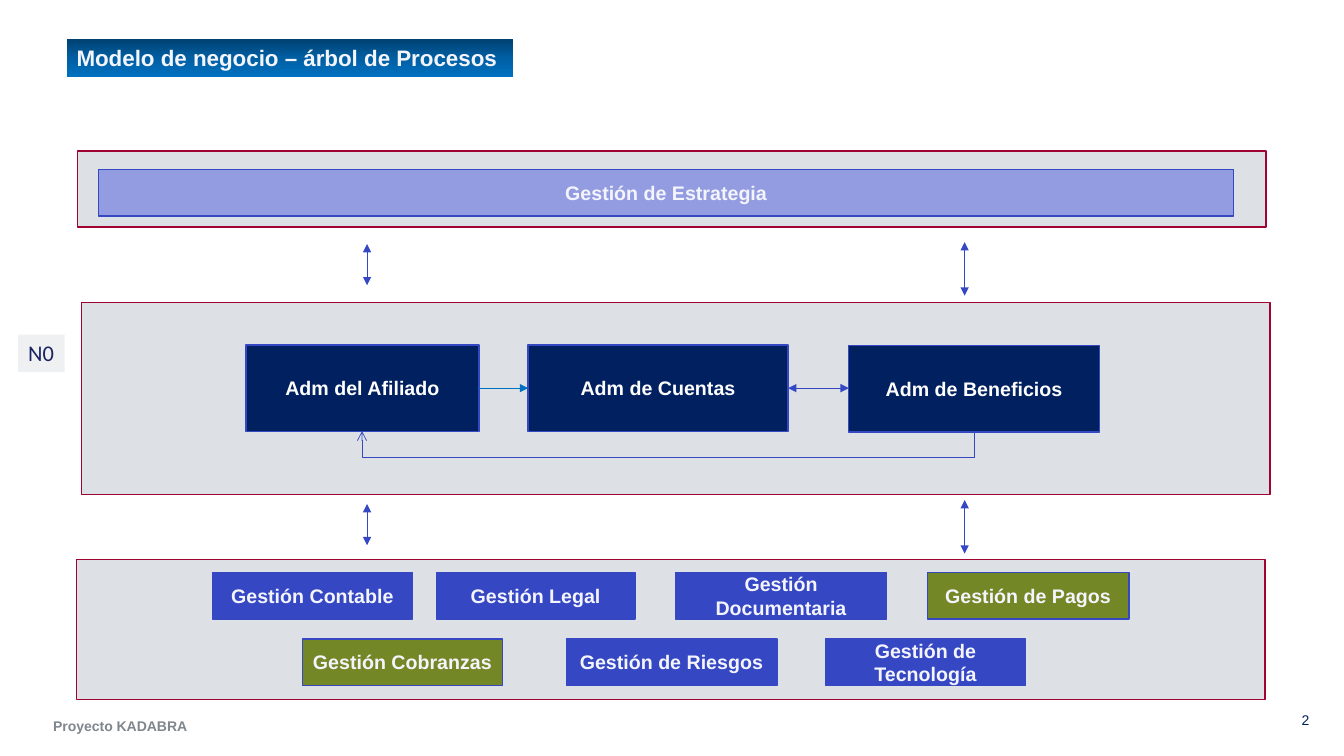
import copy

import pptx
import pptx.util
import pptx.dml.color
import pptx.enum.shapes
import pptx.enum.text
import pptx.oxml
import pptx.oxml.ns
from pptx.util import Cm

NAVY, BLUE, LILAC, GREEN = "002060", "3547C3", "939CE1", "738726"
GREY, CRIMSON, PALE, WHITE = "DDE0E5", "9F0332", "F4F5FC", "FFFFFF"
ALIGN = pptx.enum.text.PP_ALIGN
ANCHOR = pptx.enum.text.MSO_ANCHOR
CONNECTOR = pptx.enum.shapes.MSO_CONNECTOR


def rgb(color):
    return pptx.dml.color.RGBColor.from_string(color)


def write(sp, text, size, color, bold=True, font="Arial", align=ALIGN.LEFT,
          anchor=ANCHOR.TOP, fit=False):
    tf = sp.text_frame
    tf.text = text
    tf.word_wrap = not fit
    if fit:
        tf.auto_size = pptx.enum.text.MSO_AUTO_SIZE.SHAPE_TO_FIT_TEXT
    tf.vertical_anchor = anchor
    p = tf.paragraphs[0]
    p.alignment = align
    r = p.runs[0]
    r.font.name, r.font.size, r.font.bold = font, pptx.util.Pt(size), bold
    r.font.color.rgb = rgb(color)


def add_rect(s, x, y, w, h, fill, line=None):
    sp = s.shapes.add_shape(pptx.enum.shapes.MSO_SHAPE.RECTANGLE,
                            Cm(x), Cm(y), Cm(w), Cm(h))
    sp.shadow.inherit = False
    sp.fill.solid()
    sp.fill.fore_color.rgb = rgb(fill)
    if line:
        sp.line.color.rgb = rgb(line)
        sp.line.width = pptx.util.Pt(1)
    else:
        sp.line.fill.background()
    return sp


def add_process(s, text, x, y, w, h, fill, color=PALE):
    sp = add_rect(s, x, y, w, h, fill, BLUE)
    write(sp, text, 14, color, align=ALIGN.CENTER, anchor=ANCHOR.MIDDLE)


def add_text(s, text, x, y, w, h, size, color, **style):
    sp = s.shapes.add_textbox(Cm(x), Cm(y), Cm(w), Cm(h))
    write(sp, text, size, color, **style)


def add_gradient(sp, colors):
    sp.fill.gradient()
    sp.fill.gradient_angle = 270
    stops = sp.element.find(".//" + pptx.oxml.ns.qn("a:gsLst"))
    stops.insert(1, copy.deepcopy(stops[0]))
    for i, (stop, color) in enumerate(zip(sp.fill.gradient_stops, colors)):
        stop.position = i / (len(colors) - 1)
        stop.color.rgb = rgb(color)


def add_arrow(s, x1, y1, x2, y2, color=BLUE, head="triangle", tail="triangle",
              kind=CONNECTOR.STRAIGHT):
    c = s.shapes.add_connector(kind, Cm(x1), Cm(y1), Cm(x2), Cm(y2))
    c.line.color.rgb = rgb(color)
    c.line.width = pptx.util.Pt(0.5)
    ln = c.line._get_or_add_ln()
    for tag, end in (("headEnd", head), ("tailEnd", tail)):
        if end:
            ln.append(pptx.oxml.parse_xml(
                f'<a:{tag} {pptx.oxml.ns.nsdecls("a")} type="{end}"/>'))
    c.element.spPr.append(pptx.oxml.parse_xml(
        f'<a:effectLst {pptx.oxml.ns.nsdecls("a")}/>'))
    return c


def add_return_arrow(s, x_from, x_to, y, drop):
    """Elbow that leaves a box downwards and comes back up into another."""
    thin = 0.01
    mid, half = (x_from + x_to) / 2, (x_from - x_to) / 2
    c = add_arrow(s, mid + thin, y - half, mid, y + half,
                  head=None, tail="arrow", kind=CONNECTOR.ELBOW)
    spPr = c.element.spPr
    spPr.find(pptx.oxml.ns.qn("a:xfrm")).set("rot", "5400000")
    geom = spPr.find(pptx.oxml.ns.qn("a:prstGeom"))
    for old in list(geom):
        geom.remove(old)
    geom.append(pptx.oxml.parse_xml(
        f'<a:avLst {pptx.oxml.ns.nsdecls("a")}><a:gd name="adj1" '
        f'fmla="val {round(-drop / thin * 100000)}"/></a:avLst>'))


def main():
    prs = pptx.Presentation()
    prs.slide_width, prs.slide_height = Cm(33.87), Cm(19.05)
    s = prs.slides.add_slide(prs.slide_layouts[6])

    # Title, level tag, footer and page number
    title = add_rect(s, 1.68, 0.99, 11.25, 0.94, "0070C0")
    add_gradient(title, ("004272", "005EA2", "0070C0"))
    write(title, "Modelo de negocio – árbol de Procesos", 16, PALE, fit=True)
    level = add_rect(s, 0.46, 8.43, 1.17, 0.94, "EEF0F2")
    write(level, "N0", 16, "1B2361", bold=False, font="Calibri", fit=True)
    add_text(s, "Proyecto KADABRA", 1.09, 17.96, 3.94, 0.69, 10, "80868D", fit=True)
    add_text(s, "2", 30.28, 17.63, 2.97, 1.02, 10, NAVY, bold=False,
             align=ALIGN.RIGHT, anchor=ANCHOR.MIDDLE)

    # Bands: strategy, core, support
    for x, y, h in ((1.96, 3.81, 1.91), (2.06, 7.62, 4.85), (1.93, 14.1, 3.53)):
        add_rect(s, x, y, 29.95, h, GREY, CRIMSON)

    # Strategy and core processes
    add_process(s, "Gestión de Estrategia", 2.49, 4.27, 28.6, 1.17, LILAC)
    for text, x, y, w in (("Adm del Afiliado", 6.2, 8.69, 5.87),
                          ("Adm de Cuentas", 13.31, 8.69, 6.55),
                          ("Adm de Beneficios", 21.39, 8.71, 6.32)):
        add_process(s, text, x, y, w, 2.18, NAVY, WHITE)

    # Support processes, two rows
    rows = (
        (14.43, (("Gestión Contable", 5.36, 5.03, BLUE),
                 ("Gestión Legal", 11, 5, BLUE),
                 ("Gestión Documentaria", 17.02, 5.33, BLUE),
                 ("Gestión de Pagos", 23.37, 5.08, GREEN))),
        (16.1, (("Gestión Cobranzas", 7.62, 5.05, GREEN),
                ("Gestión de Riesgos", 14.27, 5.31, BLUE),
                ("Gestión de Tecnología", 20.8, 5.05, BLUE))),
    )
    for y, boxes in rows:
        for text, x, w, fill in boxes:
            add_process(s, text, x, y, w, 1.17, fill)

    # Arrows between bands
    for x, length, tops in ((9.25, 1.04, (6.15, 12.7)),
                            (24.31, 1.35, (6.1, 12.6))):
        for top in tops:
            add_arrow(s, x, top + length, x, top)

    # Arrows between core processes
    add_arrow(s, 13.31, 9.78, 12.04, 9.78, "0070C0", tail=None)
    add_arrow(s, 21.39, 9.78, 19.86, 9.78)
    add_return_arrow(s, 24.56, 9.12, 10.87, 0.64)

    prs.save("out.pptx")


main()
